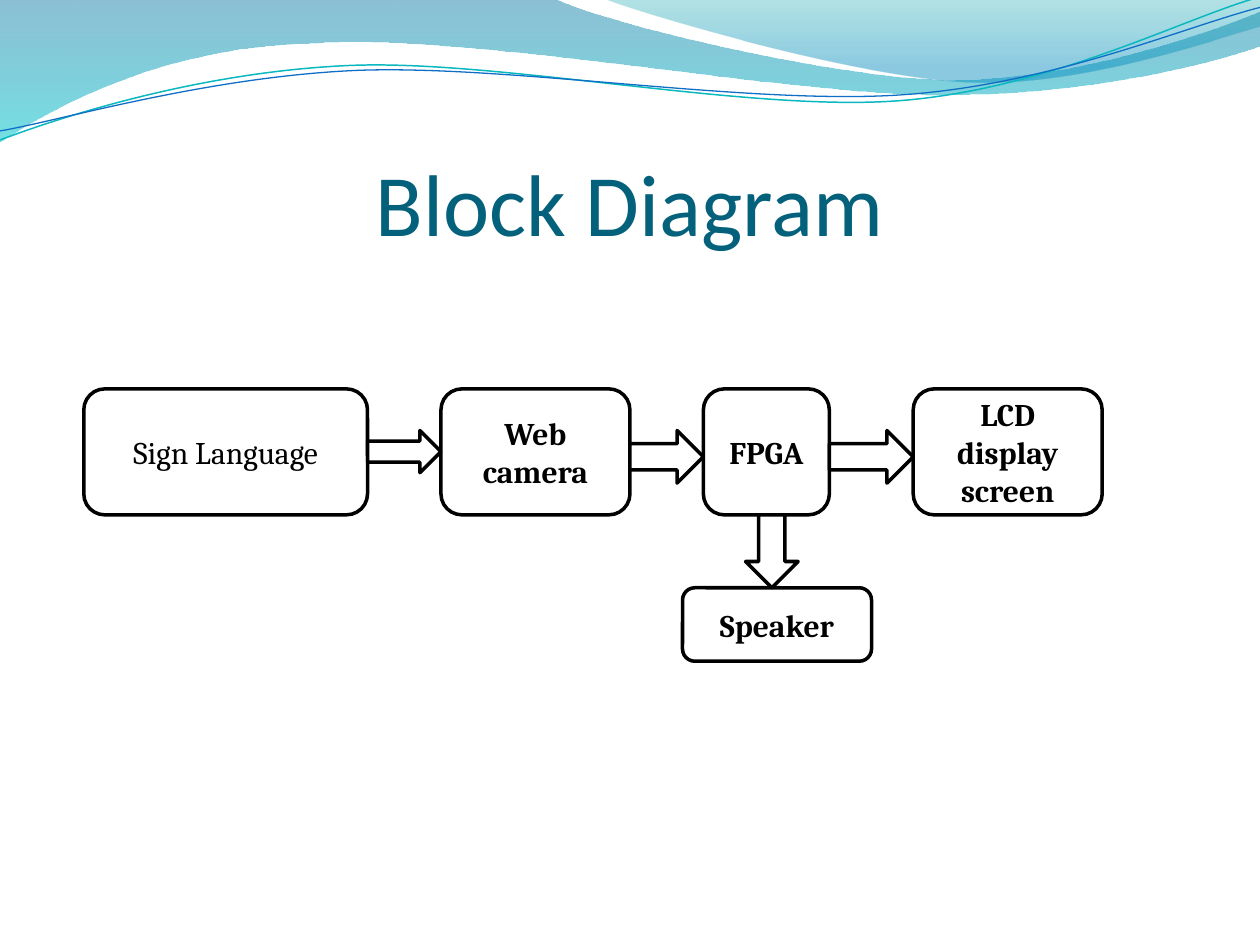
from math import cos, radians, sin

from lxml import etree
from pptx import Presentation
from pptx.dml.color import RGBColor
from pptx.enum.shapes import MSO_SHAPE as SHAPE
from pptx.enum.text import MSO_ANCHOR as ANCHOR, PP_ALIGN as ALIGN
from pptx.oxml.ns import qn
from pptx.util import Cm, Pt


def rgb(color):
    return RGBColor.from_string(color)


def pairs(seg):
    return list(zip(seg[::2], seg[1::2]))


def turn(seg, center, degrees):
    """Turn every point of a segment clockwise about the center."""
    (cx, cy), a = center, radians(degrees)
    turned = []
    for x, y in pairs(seg):
        dx, dy = x - cx, y - cy
        turned += [cx + dx * cos(a) - dy * sin(a), cy + dx * sin(a) + dy * cos(a)]
    return turned


class Deck:
    INK, PAPER, TITLE = "000000", "FFFFFF", "04617B"
    BODY_FONT, TITLE_FONT = "Cambria", "Calibri"
    TILT = 2.7

    def __init__(self, prs):
        self.s = prs.slides.add_slide(prs.slide_layouts[6])

    def outline(self, start, segments, close):
        """Segments are lines (x, y) or cubic curves (x1, y1, x2, y2, x, y)."""
        builder = self.s.shapes.build_freeform(Cm(start[0]), Cm(start[1]))
        builder.add_line_segments([(Cm(seg[-2]), Cm(seg[-1])) for seg in segments], close=close)
        sp = builder.convert_to_shape()
        sp.shadow.inherit = False
        # Turn the segments that have control points into curves
        for ln, seg in zip(list(sp._element.iter(qn("a:lnTo"))), segments):
            if len(seg) == 6:
                ln.clear()
                ln.tag = qn("a:cubicBezTo")
                for x, y in pairs(seg):
                    pt = etree.SubElement(ln, qn("a:pt"))
                    pt.set("x", str(Cm(x) - sp.left))
                    pt.set("y", str(Cm(y) - sp.top))
        return sp

    def band(self, start, segments, stops):
        sp = self.outline(start, segments, True)
        sp.line.fill.background()
        sp.fill.gradient()
        sp.fill.gradient_angle = 270
        for stop, (position, color, _) in zip(sp.fill.gradient_stops, stops):
            stop.position = position
            stop.color.rgb = rgb(color)
        colors = list(sp._element.spPr.iter(qn("a:srgbClr")))
        for clr, (_, _, opacity) in zip(colors, stops):
            etree.SubElement(clr, qn("a:alpha")).set("val", str(opacity * 1000))

    def wave(self, start, segments, center, color, width):
        level = [turn(seg, center, self.TILT) for seg in (start, *segments)]
        sp = self.outline(level[0], level[1:], False)
        sp.rotation = 360 - self.TILT
        sp.fill.background()
        sp.line.color.rgb = rgb(color)
        sp.line.width = Pt(width)

    def text(self, tf, text, font, size, color, bold, anchor):
        tf.word_wrap = True
        tf.vertical_anchor = anchor
        tf.text = text
        p = tf.paragraphs[0]
        p.alignment = ALIGN.CENTER
        f = p.runs[0].font
        f.name, f.size, f.bold = font, Pt(size), bold
        f.color.rgb = rgb(color)

    def title(self, text, x, y, w, h):
        tf = self.s.shapes.add_textbox(Cm(x), Cm(y), Cm(w), Cm(h)).text_frame
        tf.margin_left = tf.margin_right = tf.margin_bottom = 0
        self.text(tf, text, self.TITLE_FONT, 50, self.TITLE, False, ANCHOR.BOTTOM)

    def shape(self, kind, x, y, w, h):
        sp = self.s.shapes.add_shape(kind, Cm(x), Cm(y), Cm(w), Cm(h))
        sp.shadow.inherit = False
        sp.fill.solid()
        sp.fill.fore_color.rgb = rgb(self.PAPER)
        sp.line.color.rgb = rgb(self.INK)
        sp.line.width = Pt(2)
        return sp

    def block(self, text, x, y, w, h, bold=True):
        sp = self.shape(SHAPE.ROUNDED_RECTANGLE, x, y, w, h)
        self.text(sp.text_frame, text, self.BODY_FONT, 18, self.INK, bold, ANCHOR.MIDDLE)


def main():
    prs = Presentation()
    prs.slide_width, prs.slide_height = Cm(25.4), Cm(19.05)
    deck = Deck(prs)

    # Wave header
    deck.band((0, 0), [
        (11.18, -0.03),
        (12.09, 0.43, 16.87, 1.6, 19.25, 1.6),
        (21.67, 1.6, 24.33, 0.66, 25.4, 0.23),
        (25.43, 0.91),
        (24.97, 1.12, 22.1, 1.93, 18.95, 1.91),
        (15.8, 1.91, 9.7, 0.71, 6.53, 0.86),
        (3.28, 0.91, 1.17, 2.11, -0.03, 2.87),
        (0, 0),
    ], [(0, "0074A1", 45), (1, "00C6CF", 55)])
    deck.band((12.17, -0.03), [
        (12.93, 0.28, 17.32, 1.57, 19.53, 1.65),
        (21.74, 1.75, 24.41, 0.81, 25.4, 0.53),
        (25.4, 0),
        (12.17, -0.03),
    ], [(0, "00A1A9", 30), (0.8, "008BBF", 45)])
    deck.wave((0, 2.82), [
        (1.22, 2.36, 4.01, 1.45, 7.04, 1.32),
        (10.03, 1.19, 15.06, 2.26, 18.11, 2.03),
        (21.16, 1.8, 23.83, 0.38, 25.35, -0.05),
    ], (12.67, 1.46), "0AB8BF", 0.85)
    deck.wave((0, 2.64), [
        (1.19, 2.44, 4.17, 1.55, 7.19, 1.42),
        (10.24, 1.3, 15.16, 2.13, 18.21, 1.91),
        (21.23, 1.7, 23.9, 0.53, 25.4, 0.15),
    ], (12.69, 1.5), "0F6FC6", 0.75)

    # Main row: text, left, width, bold, thickness of the arrow that follows
    top, height, arrow = 7.84, 2.54, 1.06
    row = [
        ("Sign Language", 1.69, 5.72, False, 0.85),
        ("Web camera", 8.89, 3.81, True, arrow),
        ("FPGA", 14.18, 2.54, True, arrow),
        ("LCD display screen", 18.41, 3.81, True, None),
    ]
    for text, x, w, bold, _ in row:
        deck.block(text, x, top, w, height, bold)
    for (_, x, w, _, thick), (_, next_x, *_) in zip(row, row[1:]):
        deck.shape(SHAPE.RIGHT_ARROW, x + w, 8.68, next_x - x - w, thick)

    # Branch from FPGA down to the speaker
    bottom, speaker_top = top + height, 11.85
    deck.block("Speaker", 13.76, speaker_top, 3.81, 1.48)
    deck.shape(SHAPE.DOWN_ARROW, 15.03, bottom, arrow, speaker_top - bottom)

    deck.title("Block Diagram", 1.27, 1.95, 22.86, 3.18)

    prs.save("out.pptx")


if __name__ == "__main__":
    main()
